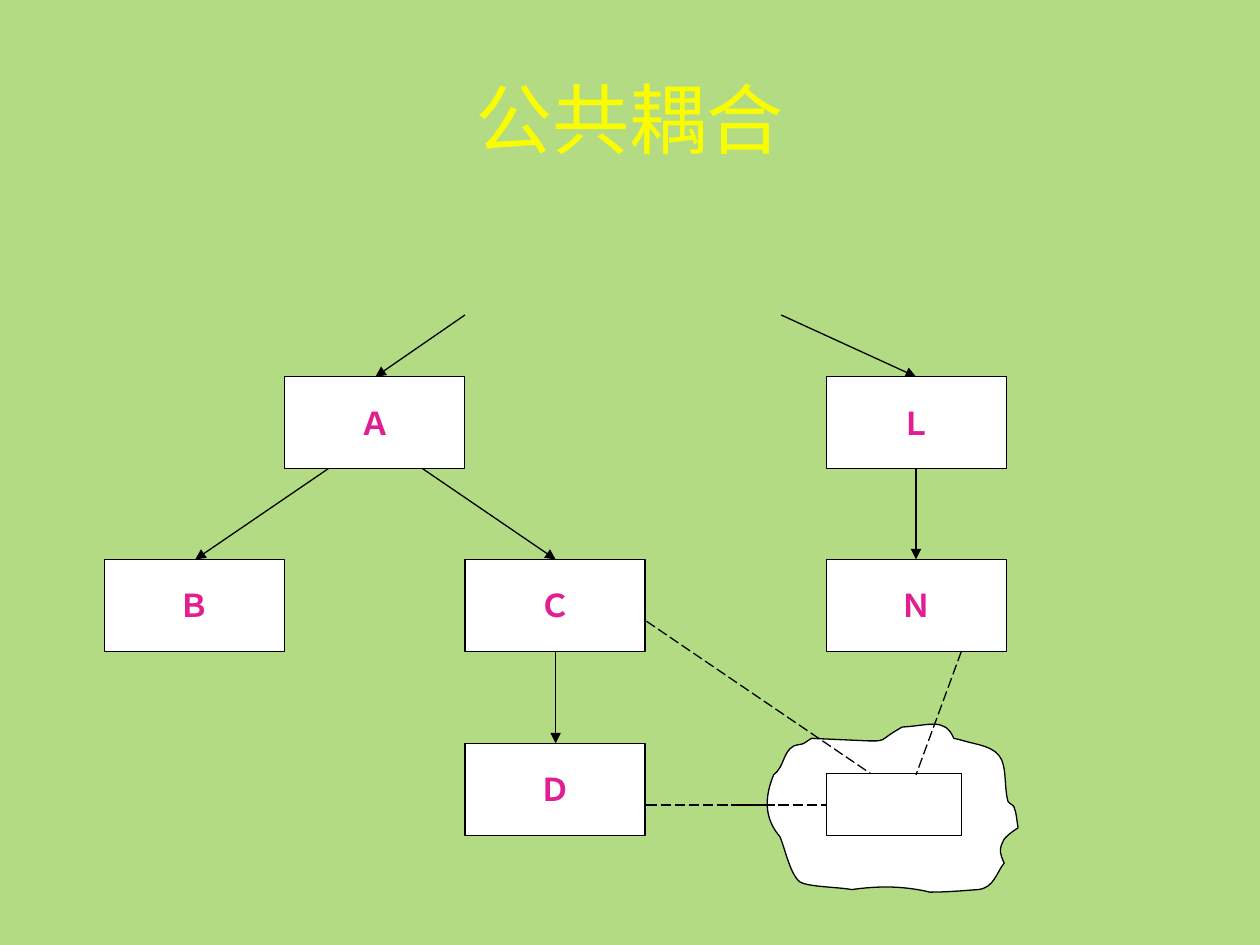
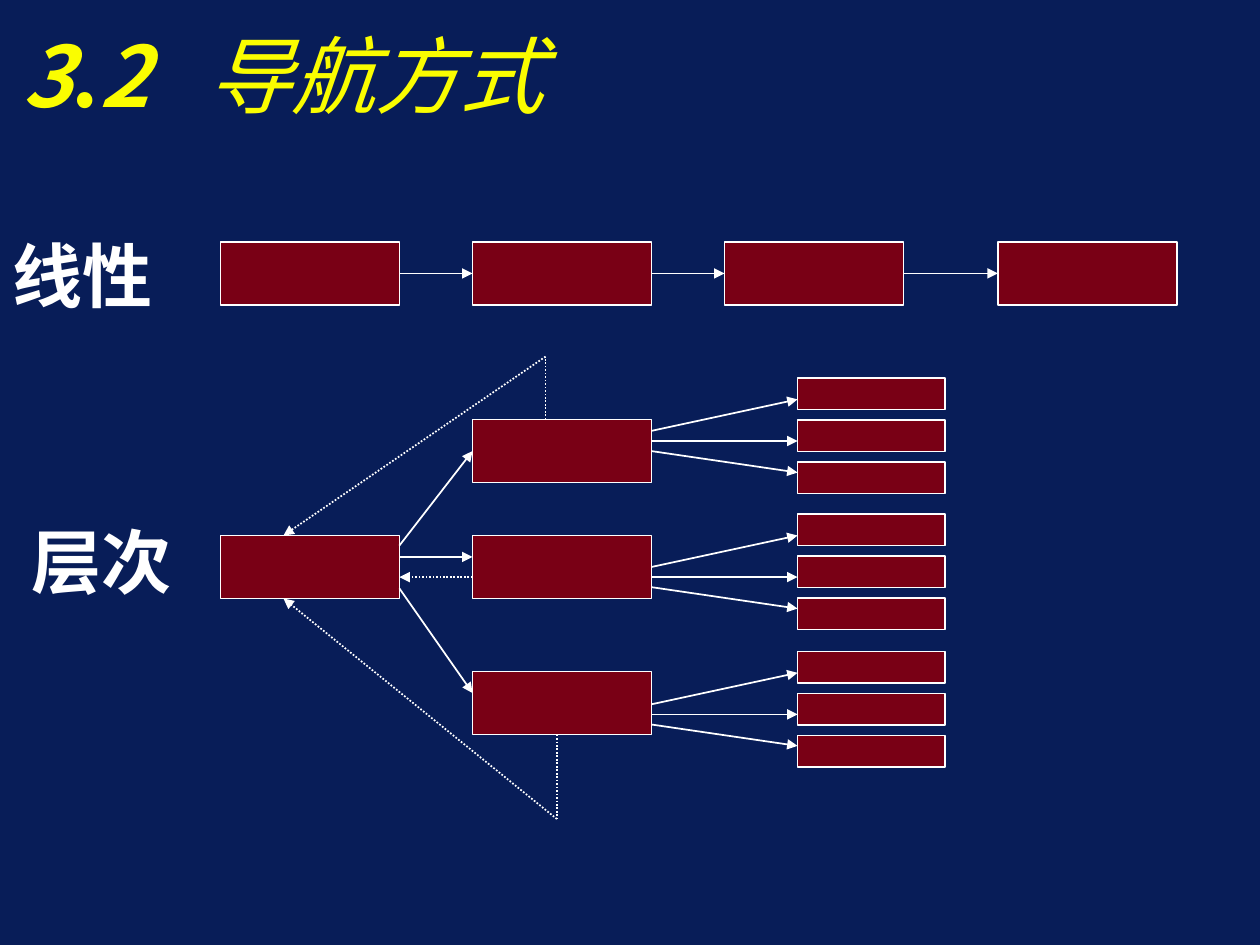
import dataclasses

import lxml.etree
import pptx
import pptx.dml.color
import pptx.enum.dml
import pptx.enum.shapes
import pptx.enum.text
import pptx.oxml
import pptx.oxml.ns
import pptx.util

Inches = pptx.util.Inches
Align = pptx.enum.text.PP_ALIGN
Dash = pptx.enum.dml.MSO_LINE
qn = pptx.oxml.ns.qn


@dataclasses.dataclass(frozen=True)
class Theme:
    green: str = "B3DB83"
    navy: str = "081D58"
    yellow: str = "FAFD00"
    pink: str = "E11F92"
    maroon: str = "790015"
    white: str = "FFFFFF"
    black: str = "000000"
    sans: str = "Noto Sans CJK SC"
    serif: str = "Times New Roman"
    coupling_title: int = 44
    navigation_title: int = 48
    heading: int = 40
    module: int = 18
    coupling_line: float = 0.75
    navigation_line: float = 1


theme = Theme()
rgb = pptx.dml.color.RGBColor.from_string


def add_box(slide, left, top, width, height, fill, line, weight):
    box = slide.shapes.add_shape(
        pptx.enum.shapes.MSO_SHAPE.RECTANGLE,
        Inches(left), Inches(top), Inches(width), Inches(height))
    box.shadow.inherit = False
    box.fill.solid()
    box.fill.fore_color.rgb = rgb(fill)
    box.line.color.rgb = rgb(line)
    box.line.width = pptx.util.Pt(weight)
    return box


def add_link(slide, start, end, color, weight, dash=None, arrow=True):
    link = slide.shapes.add_connector(
        pptx.enum.shapes.MSO_CONNECTOR.STRAIGHT, *map(Inches, start + end))
    link.line.color.rgb = rgb(color)
    link.line.width = pptx.util.Pt(weight)
    if dash:
        link.line.dash_style = dash
    if arrow:
        lxml.etree.SubElement(link.line._ln, qn("a:tailEnd"), type="triangle")
    lxml.etree.SubElement(link._element.spPr, qn("a:effectLst"))


prs = pptx.Presentation()
prs.slide_width = Inches(10)
prs.slide_height = Inches(7.5)
coupling, navigation = [prs.slides.add_slide(prs.slide_layouts[6]) for _ in range(2)]
for slide, background in ((coupling, theme.green), (navigation, theme.navy)):
    slide.background.fill.solid()
    slide.background.fill.fore_color.rgb = rgb(background)

texts = []
for slide, area, pieces, size, color, align in (
    (coupling, (0.75, 0.31, 8.5, 1.25), [("公共耦合", False, False)],
     theme.coupling_title, theme.yellow, Align.CENTER),
    (navigation, (0.08, 0, 9.67, 1.17),
     [("3", True, True), (".", True, False), ("2\t", True, True), ("导航方式", False, True)],
     theme.navigation_title, theme.yellow, Align.LEFT),
    (navigation, (0, 1.79, 1.5, 0.77), [("线性", True, False)],
     theme.heading, theme.white, Align.LEFT),
    (navigation, (0.15, 4.06, 1.32, 0.77), [("层次", True, False)],
     theme.heading, theme.white, Align.LEFT),
):
    frame = slide.shapes.add_textbox(*map(Inches, area)).text_frame
    texts.append((frame, pieces, theme.sans, size, color, align))

coupling_stroke = (theme.black, theme.coupling_line)
add_link(coupling, (5.13, 6.39), (6.56, 6.39), *coupling_stroke, Dash.LONG_DASH, False)
for start, end in (
    ((3.69, 2.5), (2.98, 2.99)),
    ((6.2, 2.5), (7.27, 2.99)),
    ((2.62, 3.71), (1.55, 4.44)),
    ((3.34, 3.71), (4.41, 4.44)),
    ((4.41, 5.17), (4.41, 5.9)),
    ((7.27, 3.71), (7.27, 4.44)),
):
    add_link(coupling, start, end, *coupling_stroke)

cloud_start = (6.44, 5.86)
cloud_curves = (
    (6.42, 5.87, 6.4, 5.89, 6.38, 5.9),
    (6.36, 5.91, 6.32, 5.91, 6.3, 5.92),
    (6.21, 5.97, 6.23, 6.08, 6.14, 6.15),
    (6.07, 6.32, 6.06, 6.49, 6.19, 6.64),
    (6.23, 6.73, 6.27, 6.94, 6.35, 7),
    (6.42, 7.04, 6.66, 7.04, 6.76, 7.06),
    (6.97, 7.03, 7.17, 7.03, 7.38, 7.08),
    (7.51, 7.08, 7.63, 7.07, 7.76, 7.06),
    (7.89, 7.05, 7.91, 6.92, 7.97, 6.85),
    (7.94, 6.78, 7.92, 6.75, 7.97, 6.66),
    (8, 6.62, 8.08, 6.57, 8.08, 6.57),
    (8.07, 6.52, 8.07, 6.46, 8.05, 6.41),
    (8.05, 6.39, 8.01, 6.38, 8, 6.36),
    (7.97, 6.25, 7.99, 6.13, 7.95, 6.03),
    (7.9, 5.92, 7.75, 5.91, 7.65, 5.88),
    (7.62, 5.87, 7.57, 5.86, 7.57, 5.86),
    (7.5, 5.69, 7.37, 5.76, 7.16, 5.77),
    (6.95, 5.89, 7.05, 5.88, 6.89, 5.88),
)
builder = coupling.shapes.build_freeform(*map(Inches, cloud_start))
for curve in cloud_curves:
    builder.add_line_segments(
        [tuple(map(Inches, curve[i:i + 2])) for i in (0, 2, 4)], close=False)
builder.add_line_segments([tuple(map(Inches, cloud_start))], close=True)
shared_area = builder.convert_to_shape()
segments = list(shared_area._element.iter(qn("a:lnTo")))
for first, second, third in zip(*(segments[i:3 * len(cloud_curves):3] for i in range(3))):
    bezier = lxml.etree.Element(qn("a:cubicBezTo"))
    first.addprevious(bezier)
    for segment in (first, second, third):
        bezier.append(segment[0])
        segment.getparent().remove(segment)
shared_area.shadow.inherit = False
shared_area.fill.solid()
shared_area.fill.fore_color.rgb = rgb(theme.white)
shared_area.line.color.rgb = rgb(theme.black)
shared_area.line.width = pptx.util.Pt(theme.coupling_line)

for letter, left, top in (
    ("Ｄ", 3.69, 5.9), ("Ｃ", 3.69, 4.44), ("Ｂ", 0.83, 4.44),
    ("Ａ", 2.26, 2.99), ("Ｎ", 6.56, 4.44), ("Ｌ", 6.56, 2.99),
):
    module = add_box(coupling, left, top, 1.43, 0.73, theme.white, *coupling_stroke)
    texts.append((module.text_frame, [(letter, True, False)], theme.serif,
                  theme.module, theme.pink, Align.CENTER))
add_box(coupling, 6.56, 6.14, 1.07, 0.49, theme.white, *coupling_stroke)

for start, end in (
    ((5.13, 4.93), (6.91, 6.14)),
    ((7.63, 5.17), (7.27, 6.15)),
    ((5.84, 6.39), (6.56, 6.39)),
):
    add_link(coupling, start, end, *coupling_stroke, Dash.LONG_DASH, False)

navigation_stroke = (theme.white, theme.navigation_line)
page_style = (theme.maroon, *navigation_stroke)
page_width, page_height = 1.42, 0.5
linear_lefts = (1.75, 3.75, 5.75, 7.92)
for left in linear_lefts:
    add_box(navigation, left, 1.92, page_width, page_height, *page_style)
for left, following in zip(linear_lefts, linear_lefts[1:]):
    add_link(navigation, (left + page_width, 2.17), (following, 2.17), *navigation_stroke)

add_box(navigation, 1.75, 4.25, page_width, page_height, *page_style)
for branch_top, leaves_top, root_exit, branch_entry in (
    (3.33, 3, 4.33, 3.58), (4.25, 4.08, 4.42, 4.42), (5.33, 5.17, 4.67, 5.5),
):
    add_box(navigation, 3.75, branch_top, page_width, page_height, *page_style)
    add_link(navigation, (3.17, root_exit), (3.75, branch_entry), *navigation_stroke)
    for index, (leaf_exit, leaf_entry) in enumerate(((0.42, 0.17), (0.5, 0.5), (0.58, 0.75))):
        add_box(navigation, 6.33, leaves_top + index / 3, 1.17, 0.25, *page_style)
        add_link(navigation, (5.17, leaves_top + leaf_exit),
                 (6.33, leaves_top + leaf_entry), *navigation_stroke)

for start, end, arrow in (
    ((4.33, 3.33), (4.33, 2.83), False),
    ((4.33, 2.83), (2.25, 4.25), True),
    ((3.75, 4.58), (3.17, 4.58), True),
    ((4.42, 5.83), (4.42, 6.5), False),
    ((4.42, 6.5), (2.25, 4.75), True),
):
    add_link(navigation, start, end, *navigation_stroke, Dash.ROUND_DOT, arrow)

for frame, pieces, font, size, color, align in texts:
    frame.word_wrap = True
    frame.vertical_anchor = pptx.enum.text.MSO_ANCHOR.MIDDLE
    paragraph = frame.paragraphs[0]
    paragraph.alignment = align
    if any("\t" in words for words, _, _ in pieces):
        tabs = lxml.etree.SubElement(paragraph._p.get_or_add_pPr(), qn("a:tabLst"))
        lxml.etree.SubElement(tabs, qn("a:tab"), pos=str(Inches(1.47)), algn="l")
    for words, bold, italic in pieces:
        run = paragraph.add_run()
        run.text = words
        run.font.name = font
        run.font.size = pptx.util.Pt(size)
        run.font.bold = bold
        run.font.italic = italic
        run.font.color.rgb = rgb(color)
        lxml.etree.SubElement(run.font._element, qn("a:ea"), typeface=theme.sans)

prs.save("out.pptx")
